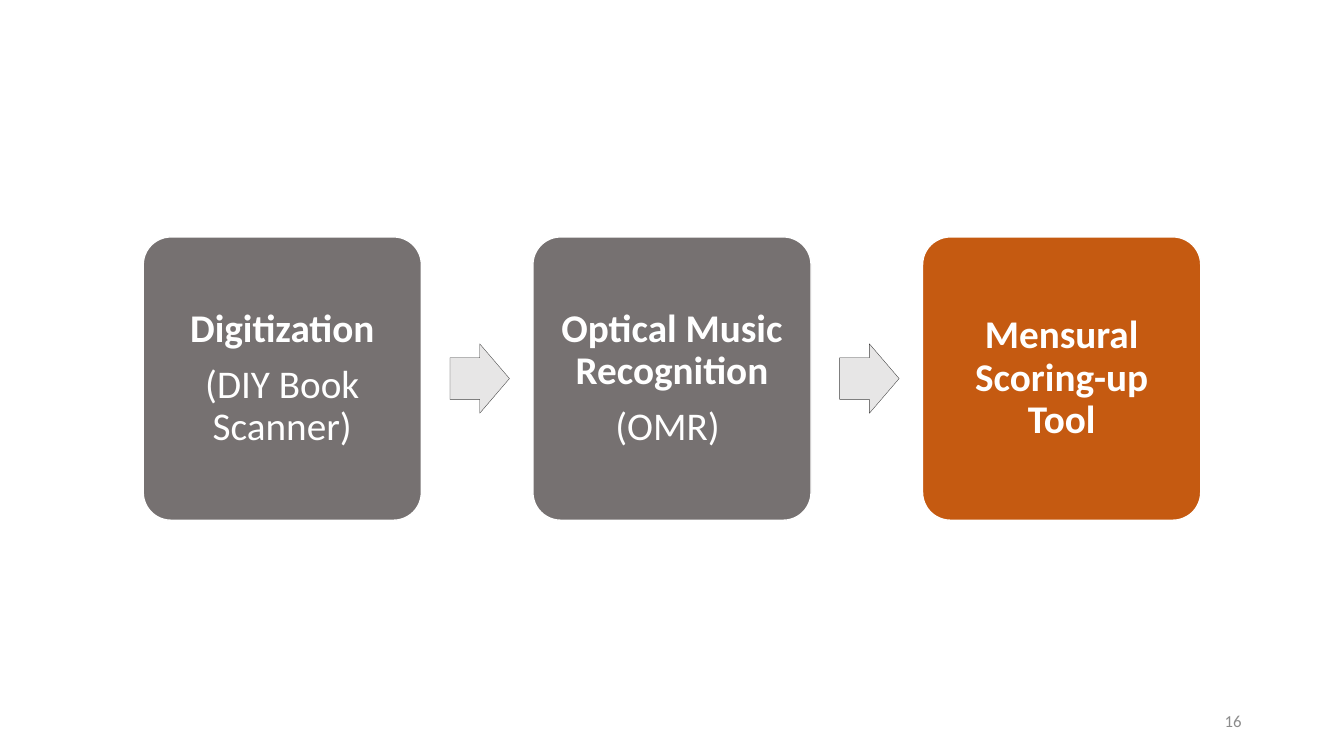
from pptx import Presentation
from pptx.dml.color import RGBColor
from pptx.enum import shapes, text
from pptx.util import Cm, Pt

WHITE = RGBColor(0xFF, 0xFF, 0xFF)
GRAY = RGBColor(0x76, 0x71, 0x71)
ORANGE = RGBColor(0xC5, 0x5A, 0x11)
LIGHT_GRAY = RGBColor(0xE7, 0xE6, 0xE6)
DARK_GRAY = RGBColor(0x40, 0x40, 0x40)
NUMBER_GRAY = RGBColor(0x8C, 0x8C, 0x8C)

STAGES = [
    (GRAY, "Digitization", "(DIY Book Scanner)"),
    (GRAY, "Optical Music Recognition", "(OMR) "),
    (ORANGE, "Mensural Scoring-up Tool", None),
]
STAGE_LEFT, STAGE_TOP = 3.61, 5.97
STAGE_WIDTH, STAGE_HEIGHT = 7.01, 7.14
STAGE_PITCH = 9.82
ARROW_WIDTH, ARROW_HEIGHT = 1.5, 1.75
ARROW_OFFSET = 7.73


def apply_format(target, values):
    for name, value in values.items():
        setattr(target, name, value)


class ProcessSlide:
    """Draws the elements of a process diagram on one slide."""

    font_name = "Calibri"
    stage_size = Pt(28)
    paragraph_gap = Pt(9.8)

    def __init__(self, slide):
        self.slide = slide

    def add_preset(self, kind, box, adjustments, fill, line, line_width):
        shape = self.slide.shapes.add_shape(kind, *map(Cm, box))
        for index, value in enumerate(adjustments):
            shape.adjustments[index] = value
        shape.shadow.inherit = False
        shape.fill.solid()
        shape.fill.fore_color.rgb = fill
        shape.line.color.rgb = line
        shape.line.width = Pt(line_width)
        return shape

    def fill_paragraph(self, paragraph, content, size, color, bold, **layout):
        paragraph.text = content
        apply_format(paragraph, layout)
        apply_format(paragraph.font, {"name": self.font_name, "size": size, "bold": bold})
        paragraph.font.color.rgb = color

    def add_stage(self, left, fill, heading, detail):
        box = (left, STAGE_TOP, STAGE_WIDTH, STAGE_HEIGHT)
        shape = self.add_preset(shapes.MSO_SHAPE.ROUNDED_RECTANGLE, box, [0.1], fill, WHITE, 1)
        frame = shape.text_frame
        margins = dict.fromkeys(
            ("margin_left", "margin_top", "margin_right", "margin_bottom"), Cm(0.3))
        apply_format(frame, {"word_wrap": True, "vertical_anchor": text.MSO_ANCHOR.MIDDLE, **margins})
        layout = {"alignment": text.PP_ALIGN.CENTER, "line_spacing": 0.9}
        self.fill_paragraph(frame.paragraphs[0], heading, self.stage_size, WHITE, True, **layout)
        if detail:
            self.fill_paragraph(frame.add_paragraph(), detail, self.stage_size, WHITE, False,
                                space_before=self.paragraph_gap, **layout)

    def add_arrow(self, left):
        top = STAGE_TOP + (STAGE_HEIGHT - ARROW_HEIGHT) / 2
        self.add_preset(shapes.MSO_SHAPE.RIGHT_ARROW, (left, top, ARROW_WIDTH, ARROW_HEIGHT),
                        [0.6, 0.5], LIGHT_GRAY, DARK_GRAY, 0.25)

    def add_page_number(self, number):
        frame = self.slide.shapes.add_textbox(Cm(23.92), Cm(17.65), Cm(7.62), Cm(1.01)).text_frame
        apply_format(frame, {"word_wrap": True, "vertical_anchor": text.MSO_ANCHOR.MIDDLE})
        self.fill_paragraph(frame.paragraphs[0], number, Pt(12), NUMBER_GRAY, False,
                            alignment=text.PP_ALIGN.RIGHT)


def main():
    presentation = Presentation()
    apply_format(presentation, {"slide_width": Cm(33.87), "slide_height": Cm(19.05)})
    blank_layout = presentation.slide_layouts[6]
    process = ProcessSlide(presentation.slides.add_slide(blank_layout))
    for index, stage in enumerate(STAGES):
        left = STAGE_LEFT + index * STAGE_PITCH
        process.add_stage(left, *stage)
        if index < len(STAGES) - 1:
            process.add_arrow(left + ARROW_OFFSET)
    process.add_page_number("16")
    presentation.save("out.pptx")


if __name__ == "__main__":
    main()
